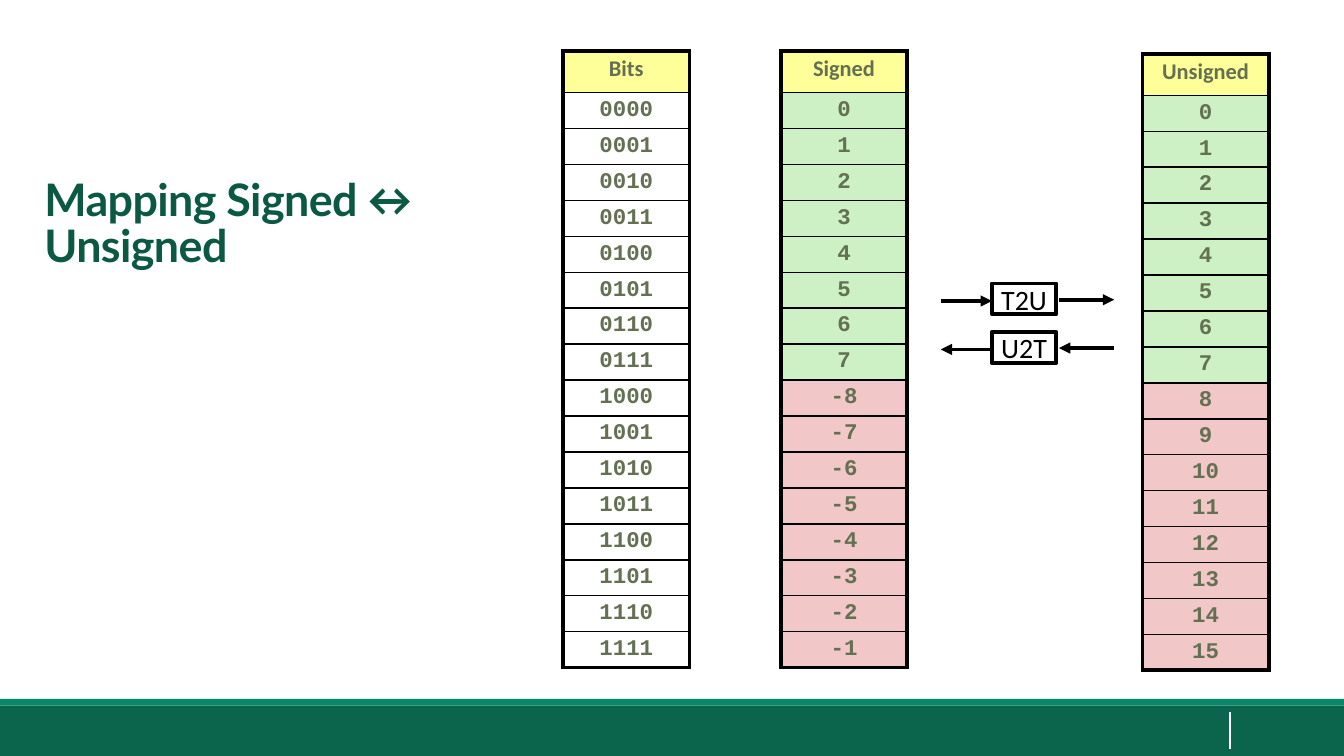
import pptx
import pptx.util
import pptx.dml.color
import pptx.enum.shapes
import pptx.enum.text
import pptx.oxml
import pptx.oxml.ns
from lxml import etree

Inches = pptx.util.Inches
Pt = pptx.util.Pt
ALIGN = pptx.enum.text.PP_ALIGN
ANCHOR = pptx.enum.text.MSO_ANCHOR

BLACK, WHITE = "000000", "FFFFFF"
HEADER_FILL, GREEN, RED = "FFFF99", "CDF1C5", "F1C7C7"
SLIDE_WIDTH = 10
SLIDE_HEIGHT = SLIDE_WIDTH * 9 / 16
COLUMN_WIDTH, TABLE_HEIGHT, HEADER_HEIGHT = 0.94, 4.59, 0.31

TITLE_FONT = {"name": "Lato", "size": Pt(24), "bold": True}
HEADER_FONT = {"name": "Calibri", "size": Pt(12), "bold": True}
VALUE_FONT = {"name": "Courier New", "size": Pt(12), "bold": True}
BOX_FONT = {"name": "Calibri", "size": Pt(15), "bold": False}


def rgb(hex_colour):
    return pptx.dml.color.RGBColor.from_string(hex_colour)


def set_all(target, values):
    for name, value in values.items():
        setattr(target, name, value)


def margins(side, top):
    return {"margin_left": side, "margin_right": side,
            "margin_top": top, "margin_bottom": top}


def write(paragraph, text, font, colour, align, spacing=1.0):
    run = paragraph.add_run()
    run.text = text
    set_all(run.font, font)
    run.font.color.rgb = rgb(colour)
    set_all(paragraph, {"alignment": align, "line_spacing": spacing})
    return run


def add_title(slide, text):
    title = slide.shapes.title
    set_all(title, {"left": Inches(0.28), "top": Inches(1.31),
                    "width": Inches(3.39), "height": Inches(0.74)})
    set_all(title.text_frame, {
        **margins(Inches(0.05), Inches(0.02)), "word_wrap": True,
        "vertical_anchor": ANCHOR.MIDDLE,
        "auto_size": pptx.enum.text.MSO_AUTO_SIZE.SHAPE_TO_FIT_TEXT})
    run = write(title.text_frame.paragraphs[0], text, TITLE_FONT, "0B5943",
                ALIGN.LEFT, 0.85)
    run.font._element.set("spc", "-30")


def add_box(slide, left, top, width, height, fill, outline=None):
    box = slide.shapes.add_shape(
        pptx.enum.shapes.MSO_SHAPE.RECTANGLE,
        Inches(left), Inches(top), Inches(width), Inches(height))
    box.shadow.inherit = False
    box.fill.solid()
    box.fill.fore_color.rgb = rgb(fill)
    if outline:
        box.line.color.rgb = rgb(outline)
        box.line.width = Pt(2)
    else:
        box.line.fill.background()
    return box


def add_line(slide, start, end, colour, width, arrow_end=None):
    line = slide.shapes.add_connector(
        pptx.enum.shapes.MSO_CONNECTOR.STRAIGHT,
        *(Inches(length) for length in (*start, *end)))
    line.line.color.rgb = rgb(colour)
    line.line.width = Pt(width)
    if arrow_end:
        arrow = etree.SubElement(line.line._get_or_add_ln(),
                                 pptx.oxml.ns.qn(f"a:{arrow_end}"))
        arrow.set("type", "triangle")
    etree.SubElement(line._element.spPr, pptx.oxml.ns.qn("a:effectLst"))


def add_borders(cell, widths):
    properties = cell._tc.get_or_add_tcPr()
    for side, width in widths.items():
        properties.append(pptx.oxml.parse_xml(
            f'<a:ln{side} {pptx.oxml.ns.nsdecls("a")} w="{Pt(width)}">'
            f'<a:solidFill><a:srgbClr val="{BLACK}"/></a:solidFill>'
            f'</a:ln{side}>'))


def add_value_table(slide, left, top, header, values, fills):
    rows = [header, *values]
    table = slide.shapes.add_table(
        len(rows), 1, Inches(left), Inches(top),
        Inches(COLUMN_WIDTH), Inches(TABLE_HEIGHT)).table
    set_all(table, {"first_row": False, "horz_banding": False})
    value_height = (TABLE_HEIGHT - HEADER_HEIGHT) / len(values)
    last = len(rows) - 1
    for index, (text, fill) in enumerate(zip(rows, [HEADER_FILL, *fills])):
        table.rows[index].height = Inches(value_height if index else HEADER_HEIGHT)
        cell = table.cell(index, 0)
        set_all(cell, {**margins(Pt(2.75), Pt(2.75)),
                       "vertical_anchor": ANCHOR.TOP})
        add_borders(cell, {"L": 2.25, "R": 2.25,
                           "T": 1 if index else 2.25,
                           "B": 2.25 if index == last else 1})
        if fill:
            cell.fill.solid()
            cell.fill.fore_color.rgb = rgb(fill)
        else:
            cell.fill.background()
        write(cell.text_frame.paragraphs[0], text,
              VALUE_FONT if index else HEADER_FONT, "637052",
              ALIGN.CENTER, 0.95)


def add_mapping(slide, name, top, arrow_end):
    box = add_box(slide, 7.38, top, 0.48, 0.23, WHITE, BLACK)
    set_all(box.text_frame, {**margins(Inches(0.07), Inches(0.04)),
                             "word_wrap": False,
                             "vertical_anchor": ANCHOR.MIDDLE})
    write(box.text_frame.paragraphs[0], name, BOX_FONT, BLACK, ALIGN.CENTER)
    for right, left, drop in ((7.38, 7, 0.13), (8.29, 7.88, 0.12)):
        add_line(slide, (right, top + drop), (left, top + drop),
                 BLACK, 2, arrow_end)


def add_footer(slide):
    add_box(slide, 0, 5.25, SLIDE_WIDTH, SLIDE_HEIGHT - 5.25, "0B654D")
    add_box(slide, 0, 5.2, SLIDE_WIDTH, 0.05, "0A8669")
    add_line(slide, (9.15, 5.3), (9.15, 5.57), WHITE, 1)


def main():
    deck = pptx.Presentation()
    set_all(deck, {"slide_width": Inches(SLIDE_WIDTH),
                   "slide_height": Inches(SLIDE_HEIGHT)})
    slide = deck.slides.add_slide(deck.slide_layouts.get_by_name("Title Only"))

    add_footer(slide)
    add_title(slide, "Mapping Signed ↔ Unsigned")

    # The same sixteen bit patterns, read in three ways
    codes = range(16)
    halves = [GREEN] * 8 + [RED] * 8
    signed = [str(code if code < 8 else code - 16) for code in codes]
    add_value_table(slide, 5.81, 0.38, "Signed", signed, halves)
    add_value_table(slide, 8.5, 0.4, "Unsigned", [str(c) for c in codes], halves)
    add_value_table(slide, 4.19, 0.38, "Bits", [f"{c:04b}" for c in codes],
                    [None] * 16)

    # Conversions between the signed and unsigned columns
    add_mapping(slide, "U2T", 2.47, "tailEnd")
    add_mapping(slide, "T2U", 2.11, "headEnd")

    deck.save("out.pptx")


if __name__ == "__main__":
    main()
